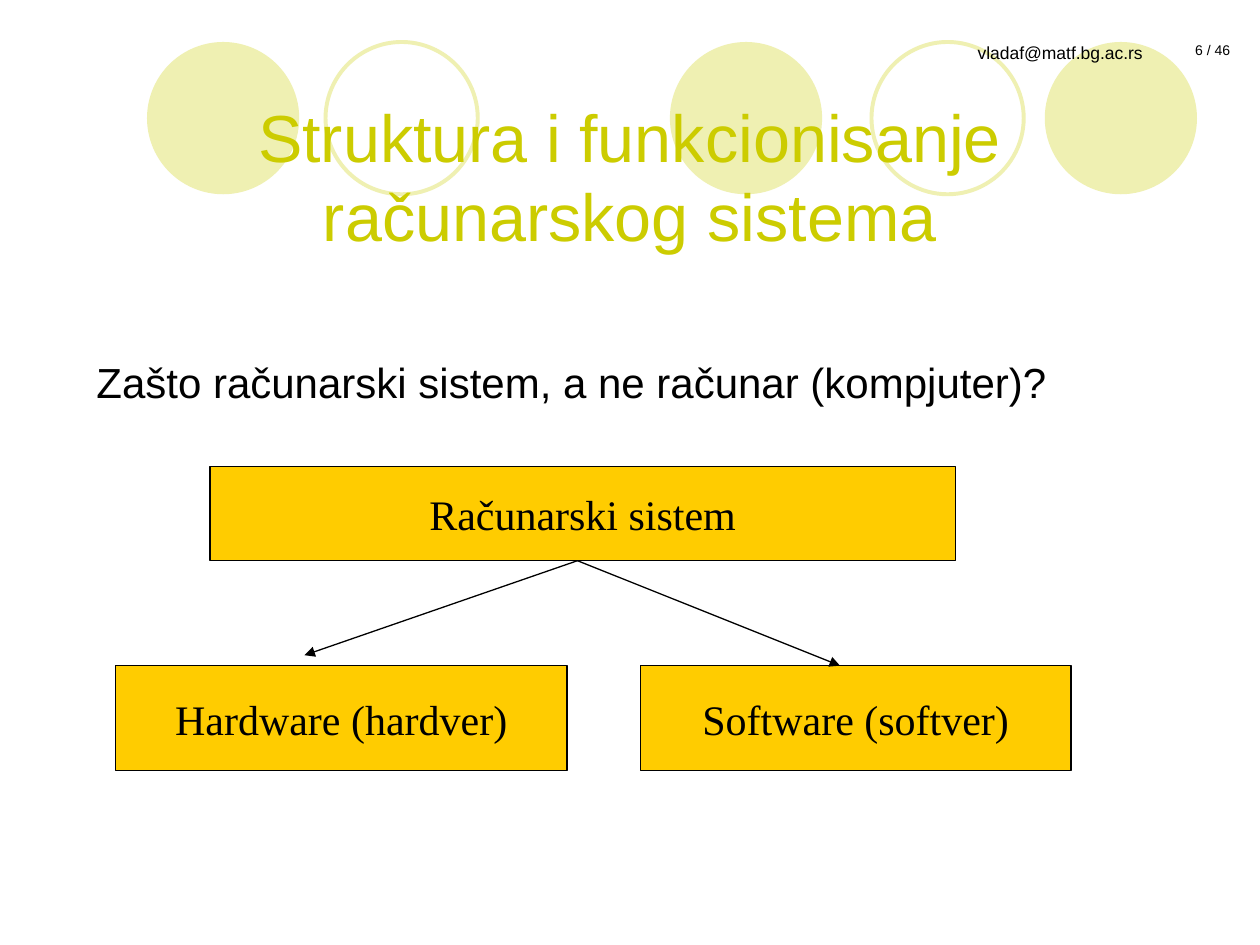
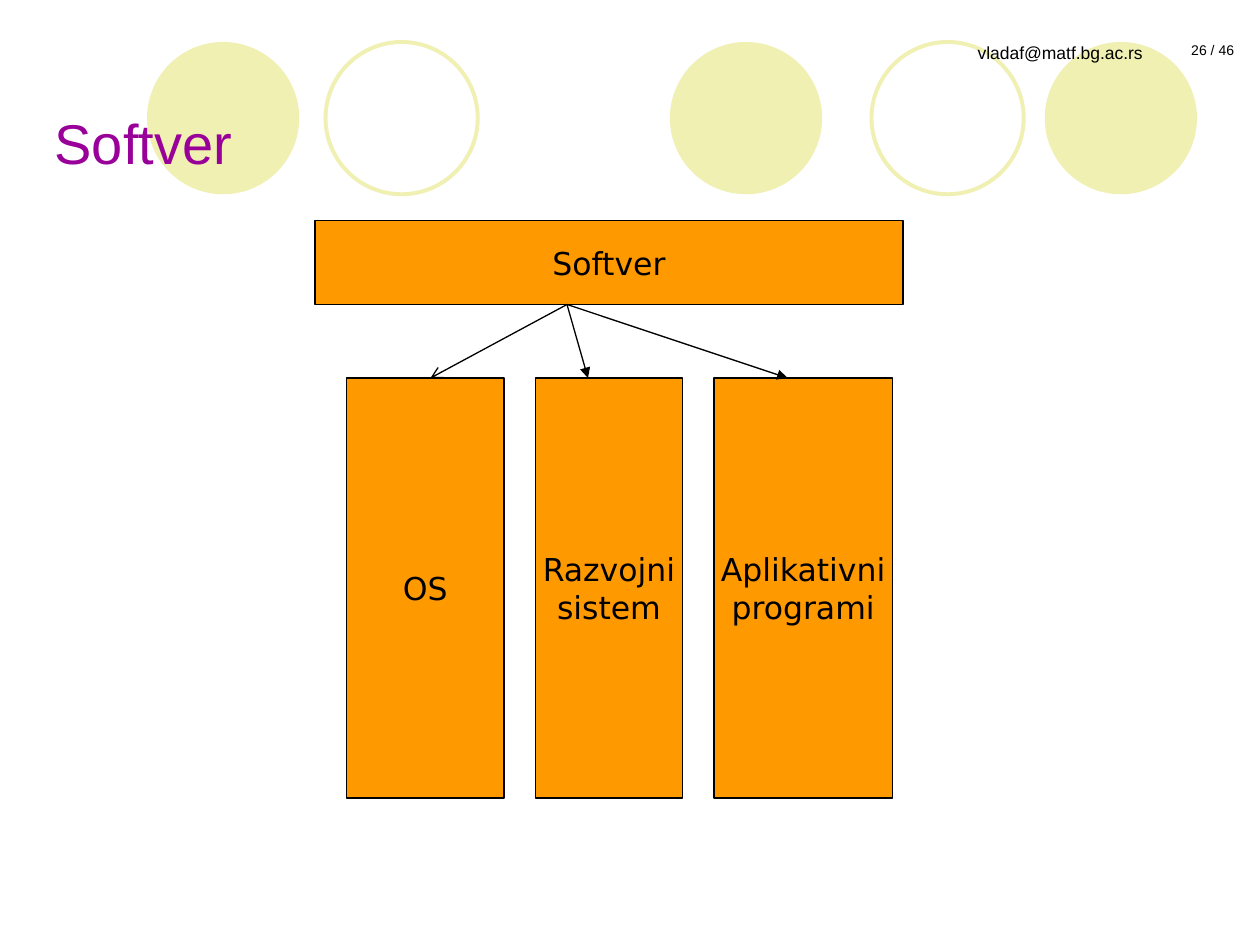
from dataclasses import dataclass
from lxml import etree
from pptx import Presentation
from pptx.dml.color import RGBColor
from pptx.enum.shapes import MSO_CONNECTOR as CONN, MSO_SHAPE as SHAPE
from pptx.enum.text import MSO_ANCHOR as ANCHOR, MSO_AUTO_SIZE as FIT, PP_ALIGN as ALIGN
from pptx.oxml.ns import qn
from pptx.util import Inches, Pt


@dataclass(frozen=True)
class Theme:
    band: str = "EFF0B2"
    ink: str = "000000"
    olive: str = "CCCC00"
    purple: str = "990099"
    yellow: str = "FFCC00"
    orange: str = "FF9900"
    font: str = "Arial"
    serif: str = "Times New Roman"
    sans: str = "DejaVu Sans"
    large_title: int = 38
    title: int = 32
    body: int = 24
    label: int = 18
    contact: int = 10
    number: int = 8
    rule: float = 0.75
    ring: float = 2.25


T = Theme()
COLS, ROWS = 120, 90
CELL = Inches(10) / COLS  # square grid cell
TOTAL = 46


def place(*cells):
    return [round(c * CELL) for c in cells]


def rgb(value):
    return RGBColor.from_string(value)


def write(shape, text, size, font=T.font, color=T.ink, align=ALIGN.LEFT,
          anchor=ANCHOR.TOP, wrap=True):
    tf = shape.text_frame
    tf.text = text
    frame = {"auto_size": FIT.NONE, "word_wrap": wrap, "vertical_anchor": anchor}
    for name, value in frame.items():
        setattr(tf, name, value)
    for p in tf.paragraphs:
        p.alignment = align
        for r in p.runs:
            for name, value in {"name": font, "size": Pt(size)}.items():
                setattr(r.font, name, value)
            r.font.color.rgb = rgb(color)


def draw(s, kind, box, fill=None, line=None, width=T.rule):
    sp = s.shapes.add_shape(kind, *place(*box))
    sp.shadow.inherit = False
    if fill:
        sp.fill.solid()
        sp.fill.fore_color.rgb = rgb(fill)
    else:
        sp.fill.background()
    if line:
        sp.line.color.rgb = rgb(line)
        sp.line.width = Pt(width)
    else:
        sp.line.fill.background()
    return sp


def add_arrow(s, start, end, head):
    c = s.shapes.add_connector(CONN.STRAIGHT, *place(*start, *end))
    c.line.color.rgb = rgb(T.ink)
    c.line.width = Pt(T.rule)
    etree.SubElement(c.line._get_or_add_ln(), qn("a:tailEnd"), type=head)
    etree.SubElement(c.element.spPr, qn("a:effectLst"))


def add_band(s, box, number):
    """Row of discs and rings, contact address and page number."""
    x, y, w, h = box
    for left, solid in ((0, True), (17, False), (49.8, True), (69, False), (85.5, True)):
        style = {"fill": T.band} if solid else {"line": T.band, "width": T.ring}
        draw(s, SHAPE.OVAL, (x + left, y, h, h), **style)
    top = y - 0.6
    contact = s.shapes.add_textbox(*place(x + w - 33.2, top, 29.2, 6))
    write(contact, "vladaf@matf.bg.ac.rs", T.contact, align=ALIGN.RIGHT)
    page = s.shapes.add_textbox(*place(x + w - 3, top, 9, 3))
    write(page, f"{number} / {TOTAL}", T.number, align=ALIGN.CENTER)


def add_title(s, box, text, **style):
    title = s.shapes.title
    title.left, title.top, title.width, title.height = place(*box)
    write(title, text, anchor=ANCHOR.MIDDLE, **style)
    s.shapes.element.append(title.element)  # bring in front of the band


def new_slide(prs, number, title, title_box, **title_style):
    s = prs.slides.add_slide(prs.slide_layouts.get_by_name("Title Only"))
    add_band(s, (14, 4, 100, 14.5), number)
    add_title(s, title_box, title, **title_style)
    return s


def add_tree(s, origin, root, first, gap, children, joint, arrows, fill, size, font):
    """Root box over a row of children; all cells count from the origin."""
    x, y = origin

    def node(left, top, width, height, text):
        sp = draw(s, SHAPE.RECTANGLE, (x + left, y + top, width, height), fill, T.ink)
        write(sp, text, size, font, align=ALIGN.CENTER, anchor=ANCHOR.MIDDLE, wrap=False)

    node(*root)
    left, top, height = first
    for text, width in children:
        node(left, top, width, height, text)
        left += width + gap
    for end_x, end_y, head in arrows:
        add_arrow(s, (x + joint[0], y + joint[1]), (x + end_x, y + end_y), head)


def system_slide(prs):
    s = new_slide(prs, 6, "Struktura i funkcionisanje računarskog sistema",
                  (6, 9.2, 108, 15), size=T.large_title, color=T.olive,
                  align=ALIGN.CENTER)
    question = s.shapes.add_textbox(*place(8, 33.4, 106, 6))
    write(question, "Zašto računarski sistem, a ne računar (kompjuter)?", T.body)
    add_tree(s, (11, 44.4), root=(9, 0, 71, 9, "Računarski sistem"),
             first=(0, 19, 10), gap=7,
             children=[("Hardware (hardver)", 43), ("Software (softver)", 41)],
             joint=(44, 9), arrows=[(18, 18, "triangle"), (69, 19, "triangle")],
             fill=T.yellow, size=T.body, font=T.serif)


def software_slide(prs):
    s = new_slide(prs, 26, "Softver", (4, 6, 102, 15), size=T.title, color=T.purple)
    add_tree(s, (30, 21), root=(0, 0, 56, 8, "Softver"),
             first=(3, 15, 40), gap=3,
             children=[("OS", 15), ("Razvojni\nsistem", 14), ("Aplikativni\nprogrami", 17)],
             joint=(24, 8),
             arrows=[(11, 15, "arrow"), (26, 15, "triangle"), (45, 15, "triangle")],
             fill=T.orange, size=T.label, font=T.sans)


def main():
    prs = Presentation()
    prs.slide_width, prs.slide_height = place(COLS, ROWS)
    system_slide(prs)
    software_slide(prs)
    prs.save("out.pptx")


if __name__ == "__main__":
    main()
